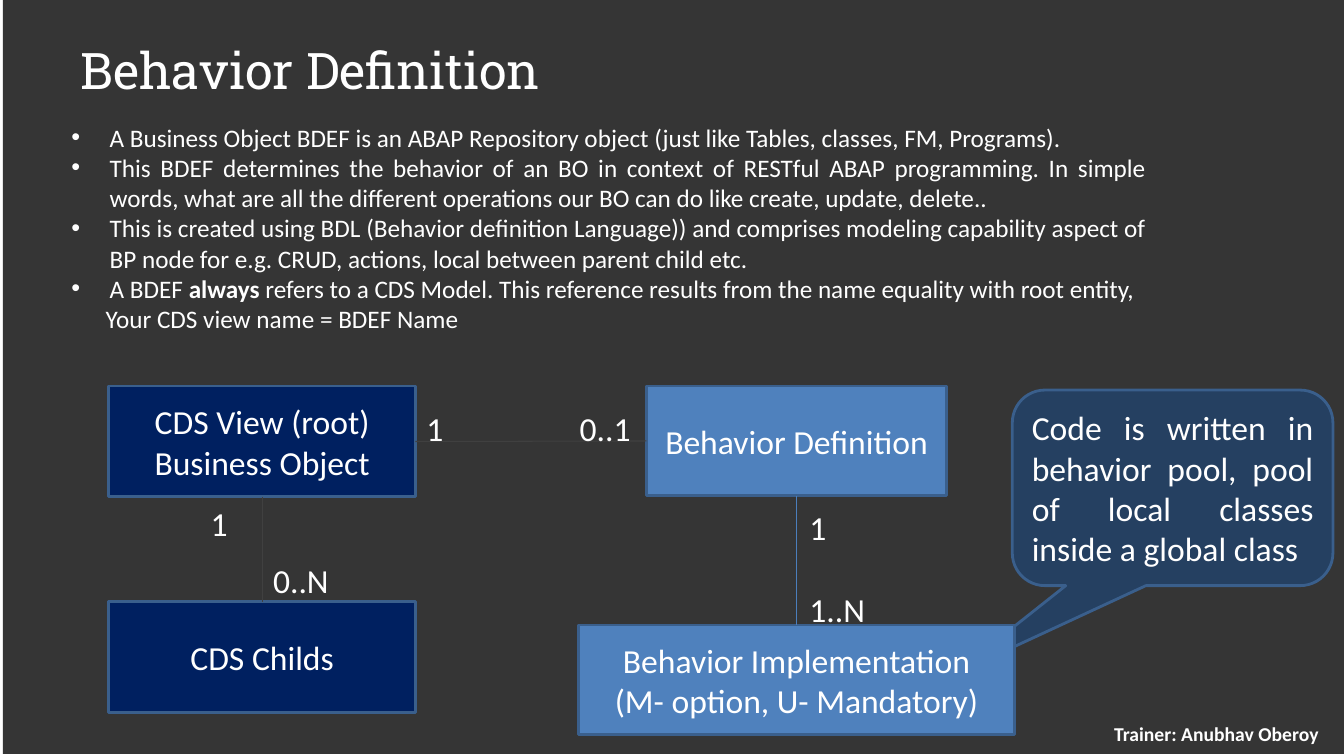
"""Build the Behavior Definition slide with its business object diagram."""
from lxml import etree
from pptx import Presentation, util as u
from pptx.dml.color import RGBColor
from pptx.enum import shapes, text
from pptx.oxml.ns import qn

THEME = {
    "font": "Calibri", "title_font": "Roboto Slab", "white": "FFFFFF",
    "backdrop": "262626", "backdrop_alpha": 93,
    "navy": "002060", "blue": "4F81BD", "callout": "254061",
    "border": "3A5F8C", "dark_link": "404040", "blue_link": "4B7EBC",
    "title": 36, "body": 18, "diagram": 24, "footer": 14,
}
TITLE = "Behavior Definition"
TRAINER = "Trainer: Anubhav Oberoy"
BULLETS = [
    ["A Business Object BDEF is an ABAP Repository object (just like Tables, classes, FM, Programs)."],
    ["This BDEF determines the behavior of an BO in context of RESTful ABAP programming. In simple "
     "words, what are all the different operations our BO can do like create, update, delete.."],
    ["This is created using BDL (Behavior definition Language)) and comprises modeling capability "
     "aspect of BP node for e.g. CRUD, actions, local between parent child etc."],
    ["A BDEF ", "always ", "refers to a CDS Model. This reference results from the name equality with root entity,"],
]
BULLET_TAIL = "Your CDS view name = BDEF Name"
CALLOUT = "Code is written in behavior pool, pool of local classes inside a global class"
CALLOUT_ADJUSTMENTS = (-0.685, 0.957, 0.167)
NODES = {
    "root": ("CDS View (root)\nBusiness Object", (1.08, 3.83, 3.04, 1.1), "navy"),
    "definition": ("Behavior Definition", (6.41, 3.83, 2.98, 1.09), "blue"),
    "children": ("CDS Childs", (1.08, 5.97, 3.04, 1.1), "navy"),
    "implementation": ("Behavior Implementation\n(M- option, U- Mandatory)", (5.74, 6.2, 4.32, 1.09), "blue"),
}
TOP, LEFT, BOTTOM, RIGHT = range(4)
LINKS = [
    ("root", RIGHT, "definition", LEFT, "dark_link"),
    ("root", BOTTOM, "children", TOP, "dark_link"),
    ("definition", BOTTOM, "implementation", TOP, "blue_link"),
]
CARDINALITIES = [
    ("1", 4.13, 4), ("0..1", 5.65, 4), ("1", 1.99, 4.94),
    ("0..N", 2.61, 5.51), ("1", 7.93, 4.98), ("1..N", 7.93, 5.79),
]
ALIGN = text.PP_ALIGN


def color(name):
    return RGBColor.from_string(THEME[name])


def style(frame, size, align, font="font", bold=None):
    for paragraph in frame.paragraphs:
        paragraph.alignment = align
        for run in paragraph.runs:
            run.font.name = THEME[font]
            run.font.size = u.Pt(THEME[size])
            run.font.color.rgb = color("white")
            if bold is not None:
                run.font.bold = bold


def add_text(slide, words, box, size, align=ALIGN.LEFT, font="font", bold=None, inset=None):
    frame = slide.shapes.add_textbox(*map(u.Inches, box)).text_frame
    frame.word_wrap = True
    if inset:
        frame.margin_left = frame.margin_right = u.Inches(inset)
        frame.vertical_anchor = text.MSO_ANCHOR.MIDDLE
    frame.text = words
    style(frame, size, align, font, bold)


def add_block(slide, preset, box, fill, words="", align=ALIGN.CENTER, border=True):
    block = slide.shapes.add_shape(preset, *map(u.Inches, box))
    block.shadow.inherit = False
    block.fill.solid()
    block.fill.fore_color.rgb = color(fill)
    if border:
        block.line.color.rgb = color("border")
        block.line.width = u.Pt(2)
    else:
        block.line.fill.background()
    frame = block.text_frame
    frame.word_wrap = True
    frame.vertical_anchor = text.MSO_ANCHOR.MIDDLE
    frame.text = words
    style(frame, "diagram", align)
    return block


def add_bullets(slide):
    frame = slide.shapes.add_textbox(*map(u.Inches, (0.61, 1.16, 10.86, 2.22))).text_frame
    frame.word_wrap = True
    for index, parts in enumerate(BULLETS + [[BULLET_TAIL]]):
        paragraph = frame.add_paragraph() if index else frame.paragraphs[0]
        properties = paragraph._p.get_or_add_pPr()
        if index < len(BULLETS):
            properties.set("marL", str(u.Inches(0.38)))
            properties.set("indent", str(-u.Inches(0.38)))
            etree.SubElement(properties, qn("a:buFont")).set("typeface", "Arial")
            etree.SubElement(properties, qn("a:buChar")).set("char", "•")
        else:
            properties.set("marL", str(u.Inches(0.34)))
        for part in parts:
            run = paragraph.add_run()
            run.text = part
            run.font.bold = part == "always "
    style(frame, "body", ALIGN.JUSTIFY)


def add_link(slide, nodes, start, start_side, end, end_side, line):
    link = slide.shapes.add_connector(shapes.MSO_CONNECTOR.STRAIGHT, 0, 0, 0, 0)
    link.begin_connect(nodes[start], start_side)
    link.end_connect(nodes[end], end_side)
    link.line.color.rgb = color(line)
    link.line.width = u.Pt(0.75)
    etree.SubElement(link._element.spPr, qn("a:effectLst"))


def main():
    deck = Presentation()
    deck.slide_width, deck.slide_height = u.Inches(13.33), u.Inches(7.5)
    slide = deck.slides.add_slide(deck.slide_layouts[6])
    slide.background.fill.solid()
    slide.background.fill.fore_color.rgb = color("white")
    preset = shapes.MSO_SHAPE

    backdrop = add_block(slide, preset.RECTANGLE, (0.03, -0.02, 13.33, 7.5), "backdrop", border=False)
    tint = backdrop._element.spPr.find(qn("a:solidFill")).find(qn("a:srgbClr"))
    etree.SubElement(tint, qn("a:alpha")).set("val", str(THEME["backdrop_alpha"] * 1000))

    add_text(slide, TITLE, (0.67, 0.3, 12, 0.78), "title", font="title_font", inset=0.13)
    add_text(slide, TRAINER, (10.84, 7.08, 2.45, 0.39), "footer", ALIGN.CENTER, bold=True, inset=0.13)
    callout = add_block(slide, preset.ROUNDED_RECTANGULAR_CALLOUT, (10.04, 3.87, 3.18, 1.94),
                        "callout", CALLOUT, ALIGN.JUSTIFY)
    for index, value in enumerate(CALLOUT_ADJUSTMENTS):
        callout.adjustments[index] = value
    add_bullets(slide)

    nodes = {key: add_block(slide, preset.RECTANGLE, box, fill, words)
             for key, (words, box, fill) in NODES.items()}
    for link in LINKS:
        add_link(slide, nodes, *link)
    for words, left, top in CARDINALITIES:
        add_text(slide, words, (left, top, 1.1, 0.5), "diagram")
    deck.save("out.pptx")


if __name__ == "__main__":
    main()
